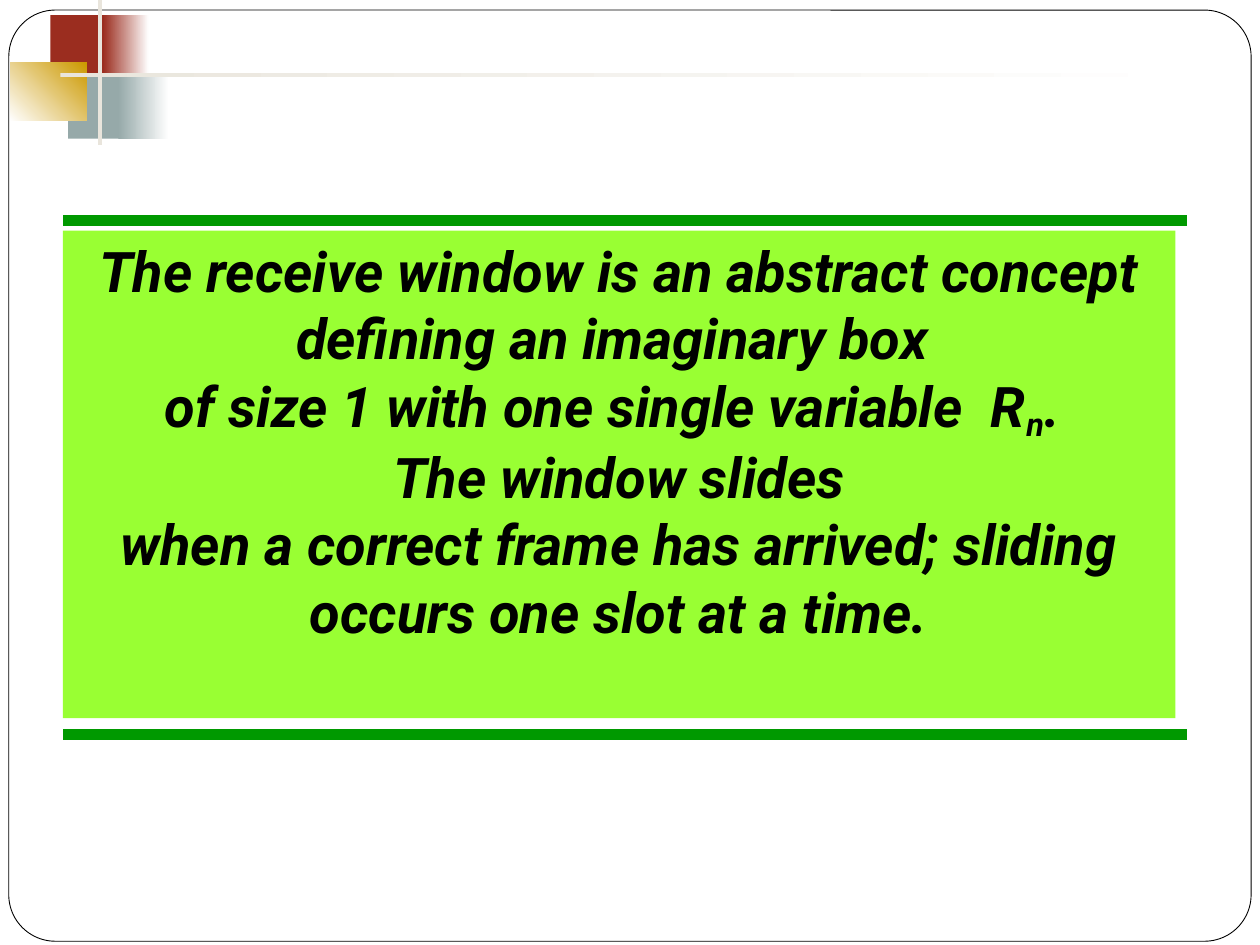
"""Builds a slide stating what the receive window is."""
from dataclasses import dataclass
from typing import Optional

from lxml.etree import SubElement
from pptx import Presentation
from pptx.dml.color import RGBColor
from pptx.enum.shapes import MSO_CONNECTOR, MSO_SHAPE
from pptx.enum.text import MSO_ANCHOR, PP_ALIGN
from pptx.oxml.ns import qn
from pptx.shapes.autoshape import Shape
from pptx.slide import Slide
from pptx.util import Inches, Length, Pt


@dataclass(frozen=True)
class Theme:
    paper: str = "FFFFFF"
    ink: str = "000000"
    red: str = "9B2D1F"
    slate: str = "96A9A9"
    gold: str = "CC9900"
    sand: str = "E9E5DC"
    rule: str = "009900"
    panel: str = "99FF33"
    font: str = "Roboto"
    statement_size: int = 32
    rule_width: float = 6
    frame_width: float = 0.5


@dataclass(frozen=True)
class Block:
    column: float
    row: float
    columns: float
    rows: float
    color: str
    fade_to: Optional[str] = None
    angle: float = 0


@dataclass(frozen=True)
class Piece:
    text: str
    baseline: Optional[int] = None
    break_after: bool = False


THEME = Theme()
COLUMNS, ROWS = 100, 75
PANEL_LEFT, RULE_RIGHT = 5, 94.2

FRAME = Block(0.7, 0.8, 98.6, 73.9, THEME.paper)
ORNAMENT = (
    Block(4, 1.2, 4.8, 5.2, THEME.red),
    Block(8.2, 1.2, 3.6, 5.2, THEME.red, THEME.paper),
    Block(5.4, 5.8, 4.6, 5.2, THEME.slate),
    Block(9.4, 5.8, 4, 5.2, THEME.slate, THEME.paper),
    Block(0.8, 5, 6.1, 4.6, THEME.paper, THEME.gold, 45),
    Block(7.8, 0, 0.3, 11.5, THEME.sand),
    Block(4.8, 5.8, 90, 0.3, THEME.sand, THEME.paper),
)
RULE_ROWS = (17.5, 58.3)
PANEL = Block(PANEL_LEFT, 18.3, 88.3, 38.7, THEME.panel)
STATEMENT = (
    (Piece("The receive window is an abstract concept defining an imaginary box "),),
    (
        Piece("of size 1 with one single variable  R"),
        Piece("n", baseline=-16000),
        Piece(". ", break_after=True),
        Piece("The window slides"),
    ),
    (Piece("when a correct frame has arrived; sliding occurs one slot at a time."),),
)


def across(columns: float) -> Length:
    """Turn grid columns into a length."""
    return Inches(10 * columns / COLUMNS)


def down(rows: float) -> Length:
    """Turn grid rows into a length."""
    return Inches(7.5 * rows / ROWS)


def rgb(color: str) -> RGBColor:
    """Turn a hex string into a colour."""
    return RGBColor.from_string(color)


def draw_block(slide: Slide, block: Block, preset: MSO_SHAPE = MSO_SHAPE.RECTANGLE) -> Shape:
    """Draw a borderless block, solid or fading."""
    shape = slide.shapes.add_shape(
        preset, across(block.column), down(block.row), across(block.columns), down(block.rows)
    )
    shape.shadow.inherit = False
    shape.line.fill.background()
    if block.fade_to:
        shape.fill.gradient()
        shape.fill.gradient_angle = block.angle
        for stop, color, position in zip(
            shape.fill.gradient_stops, (block.color, block.fade_to), (0, 1)
        ):
            stop.color.rgb = rgb(color)
            stop.position = position
    else:
        shape.fill.solid()
        shape.fill.fore_color.rgb = rgb(block.color)
    return shape


def draw_frame(slide: Slide) -> None:
    """Draw the rounded outline of the slide."""
    frame = draw_block(slide, FRAME, MSO_SHAPE.ROUNDED_RECTANGLE)
    frame.adjustments[0] = 0.05
    frame.line.color.rgb = rgb(THEME.ink)
    frame.line.width = Pt(THEME.frame_width)


def draw_rule(slide: Slide, row: float) -> None:
    """Draw a thick horizontal rule at a grid row."""
    rule = slide.shapes.add_connector(
        MSO_CONNECTOR.STRAIGHT, across(PANEL_LEFT), down(row), across(RULE_RIGHT), down(row)
    )
    rule.line.color.rgb = rgb(THEME.rule)
    rule.line.width = Pt(THEME.rule_width)
    SubElement(rule.line._get_or_add_ln().getparent(), qn("a:effectLst"))


def draw_statement(slide: Slide) -> None:
    """Draw the panel and write the statement in it."""
    frame = draw_block(slide, PANEL).text_frame
    frame.word_wrap = True
    frame.vertical_anchor = MSO_ANCHOR.TOP
    for index, pieces in enumerate(STATEMENT):
        paragraph = frame.add_paragraph() if index else frame.paragraphs[0]
        paragraph.alignment = PP_ALIGN.CENTER
        paragraph.font.size = Pt(THEME.statement_size)
        for piece in pieces:
            run = paragraph.add_run()
            run.text = piece.text
            run.font.name = THEME.font
            run.font.size = Pt(THEME.statement_size)
            run.font.bold = run.font.italic = True
            run.font.color.rgb = rgb(THEME.ink)
            if piece.baseline is not None:
                run.font._element.set("baseline", str(piece.baseline))
            if piece.break_after:
                paragraph.add_line_break()


def main() -> None:
    """Build and save the slide."""
    deck = Presentation()
    deck.slide_width, deck.slide_height = across(COLUMNS), down(ROWS)
    slide = deck.slides.add_slide(deck.slide_layouts[6])
    draw_frame(slide)
    for block in ORNAMENT:
        draw_block(slide, block)
    for row in RULE_ROWS:
        draw_rule(slide, row)
    draw_statement(slide)
    deck.save("out.pptx")


if __name__ == "__main__":
    main()
